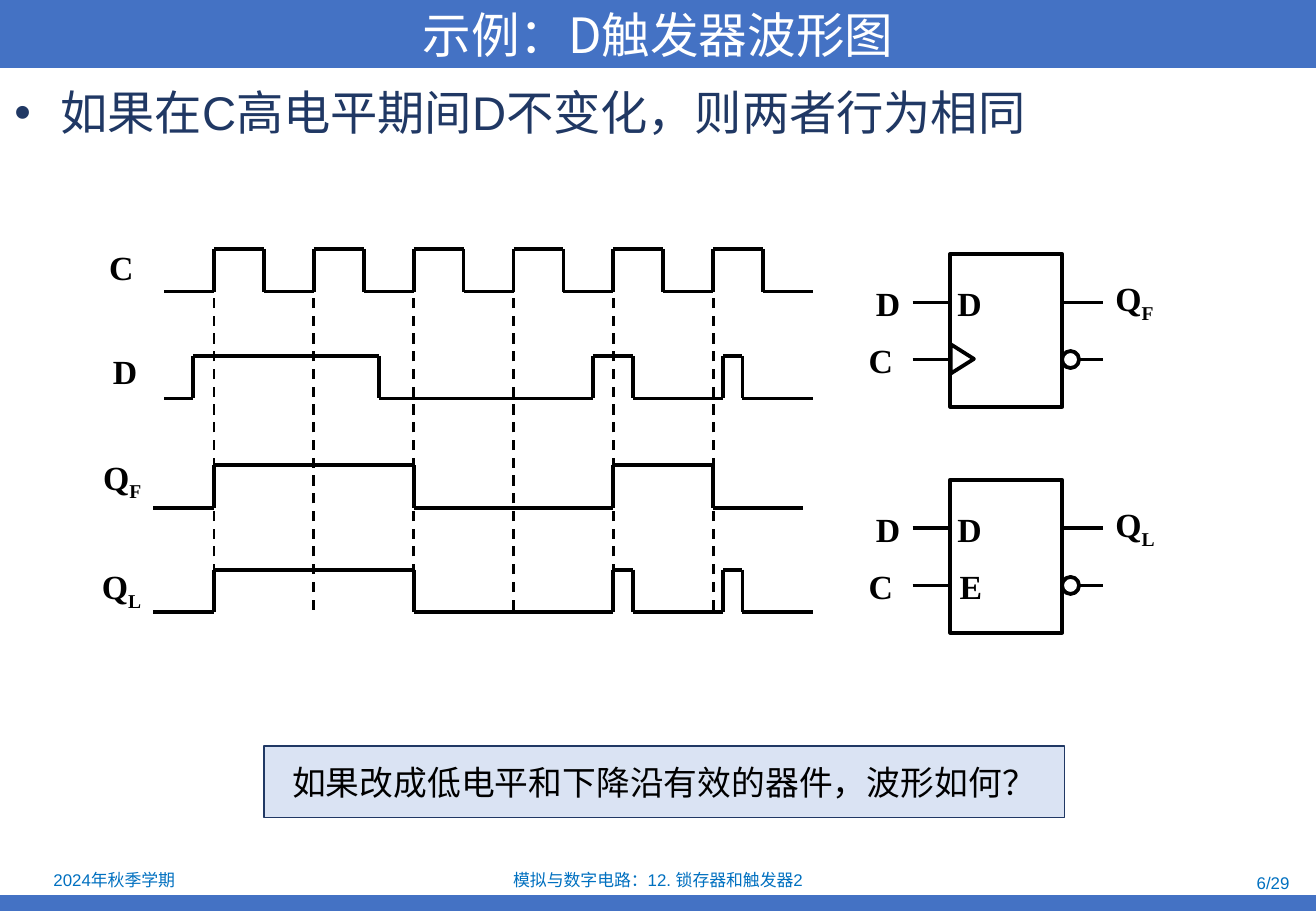
from lxml import etree
from pptx import Presentation
from pptx.dml.color import RGBColor
from pptx.enum import dml, shapes, text
from pptx.oxml import ns
from pptx.util import Inches, Pt

BLUE = RGBColor(0x44, 0x72, 0xC4)
FOOTER_BLUE = RGBColor(0x00, 0x70, 0xC0)
NAVY = RGBColor(0x20, 0x38, 0x64)
PALE_BLUE = RGBColor(0xDA, 0xE3, 0xF3)
WHITE = RGBColor(0xFF, 0xFF, 0xFF)
BLACK = RGBColor(0, 0, 0)

CJK_FONT = "Noto Sans CJK SC"
LABEL_FONT = "Times New Roman"
LEFT, CENTER, RIGHT = text.PP_ALIGN.LEFT, text.PP_ALIGN.CENTER, text.PP_ALIGN.RIGHT

FIRST_EDGE, PERIOD = 1.76, 0.822
CLOCK_EDGES = [FIRST_EDGE + PERIOD * i / 2 for i in range(12)]
RISING = CLOCK_EDGES[::2]
SWING = 0.35

# name, subscript, label left, label top, low level, start, end, edges
WAVES = [
    ("C", "", 0.8, 1.98, 2.4, 1.35, 6.69, CLOCK_EDGES),
    ("D", "", 0.83, 2.84, 3.28, 1.35, 6.69, [1.59, 3.12, 4.88, 5.21, 5.95, 6.11]),
    ("Q", "F", 0.75, 3.71, 4.18, 1.26, 6.61,
     [RISING[0], RISING[2], RISING[4], RISING[5]]),
    ("Q", "L", 0.74, 4.61, 5.04, 1.26, 6.69,
     [RISING[0], RISING[2], RISING[4], 5.21, 5.95, 6.11]),
]


def write(shape, content, size, color, font="Arial", align=LEFT, wrap=True,
          anchor=text.MSO_ANCHOR.MIDDLE):
    frame = shape.text_frame
    frame.word_wrap = wrap
    frame.vertical_anchor = anchor
    paragraph = frame.paragraphs[0]
    paragraph.alignment = align
    run = paragraph.add_run()
    run.text = content
    paragraph.font.size = Pt(size)
    paragraph.font.name = font
    paragraph.font.color.rgb = color
    east_asian = etree.SubElement(run._r.get_or_add_rPr(), ns.qn("a:ea"))
    east_asian.set("typeface", CJK_FONT)
    return paragraph


def add_text(slide, box, *args, **options):
    return write(slide.shapes.add_textbox(*map(Inches, box)), *args, **options)


def add_block(slide, box, fill=None, line=None, width=2.25,
              kind=shapes.MSO_SHAPE.RECTANGLE):
    block = slide.shapes.add_shape(kind, *map(Inches, box))
    block.shadow.inherit = False
    if fill is None:
        block.fill.background()
    else:
        block.fill.solid()
        block.fill.fore_color.rgb = fill
    if line is None:
        block.line.fill.background()
    else:
        block.line.color.rgb = line
        block.line.width = Pt(width)
    return block


def add_line(slide, x1, y1, x2, y2, width=2.25, dashed=False):
    line = slide.shapes.add_connector(
        shapes.MSO_CONNECTOR.STRAIGHT, *map(Inches, (x1, y1, x2, y2)))
    line.line.color.rgb = BLACK
    line.line.width = Pt(width)
    if dashed:
        line.line.dash_style = dml.MSO_LINE.DASH
    etree.SubElement(line._element.spPr, ns.qn("a:effectLst"))


def add_label(slide, left, top, name, subscript=""):
    label = add_text(slide, (left, top, 0.54 if subscript else 0.4, 0.43), name, 20,
                     BLACK, LABEL_FONT, wrap=False, anchor=text.MSO_ANCHOR.TOP)
    label.font.bold = True
    if subscript:
        run = label.add_run()
        run.text = subscript
        run._r.get_or_add_rPr().set("baseline", "-25000")


def add_wave(slide, low, start, end, edges):
    x, y = start, low
    for edge in edges:
        next_y = low - SWING if y == low else low
        add_line(slide, x, y, edge, y)
        add_line(slide, edge, y, edge, next_y)
        x, y = edge, next_y
    add_line(slide, x, y, end, y)


def add_device(slide, top, subscript, clocked):
    left, right = 7.82, 8.74
    data, control = top + 0.4, top + 0.87
    for pin in (data, control):
        add_line(slide, 7.51, pin, left, pin)
        add_line(slide, right, pin, 9.08, pin)
    add_block(slide, (left, top, right - left, 1.26), line=BLACK)
    add_block(slide, (right, control - 0.07, 0.14, 0.14), WHITE, BLACK,
              kind=shapes.MSO_SHAPE.OVAL)
    if clocked:
        wedge = add_block(slide, (7.8, control - 0.1, 0.24, 0.19), line=BLACK,
                          kind=shapes.MSO_SHAPE.FLOWCHART_EXTRACT)
        wedge.rotation = 90
    else:
        add_label(slide, 7.8, top + 0.66, "E")
    add_label(slide, 7.78, top + 0.19, "D")
    add_label(slide, 7.11, top + 0.19, "D")
    add_label(slide, 7.05, top + 0.66, "C")
    add_label(slide, 9.08, top + 0.15, "Q", subscript)


def add_bullet_line(slide):
    paragraph = add_text(slide, (0.02, 0.64, 10.81, 0.7),
                         "如果在C高电平期间D不变化，则两者行为相同", 28, NAVY,
                         anchor=text.MSO_ANCHOR.TOP)
    properties = paragraph._p.get_or_add_pPr()
    properties.set("marL", str(Inches(0.38)))
    properties.set("indent", str(Inches(-0.38)))
    bullet_font = etree.Element(ns.qn("a:buFont"), typeface="Arial")
    bullet = etree.Element(ns.qn("a:buChar"), char="•")
    properties.insert(0, bullet_font)
    properties.insert(1, bullet)


def main():
    deck = Presentation()
    deck.slide_width, deck.slide_height = Inches(10.83), Inches(7.5)
    slide = deck.slides.add_slide(deck.slide_layouts[6])

    # Title, bottom band and footer
    add_block(slide, (0, 7.37, 10.83, 0.13), BLUE)
    title = add_block(slide, (0, 0, 10.83, 0.56), BLUE)
    write(title, "示例：D触发器波形图", 28.8, WHITE, CJK_FONT, CENTER)
    for box, content, align in [
        ((0.02, 7.13, 1.84, 0.23), "2024年秋季学期", CENTER),
        ((3.7, 7.14, 3.43, 0.21), "模拟与数字电路：12. 锁存器和触发器2", CENTER),
        ((8.18, 7.16, 2.53, 0.21), "6/29", RIGHT),
    ]:
        add_text(slide, box, content, 10, FOOTER_BLUE, align=align)

    add_bullet_line(slide)

    # Timing diagram
    for x in RISING:
        add_line(slide, x, 5.02, x, 2.1, width=1.5, dashed=True)
    for name, subscript, left, top, low, start, end, edges in WAVES:
        add_wave(slide, low, start, end, edges)
        add_label(slide, left, top, name, subscript)

    # Flip-flop and latch symbols
    add_device(slide, 2.09, "F", clocked=True)
    add_device(slide, 3.95, "L", clocked=False)

    # Question
    question = add_block(slide, (2.17, 6.14, 6.59, 0.59), PALE_BLUE, NAVY, 1)
    write(question, "如果改成低电平和下降沿有效的器件，波形如何？", 20, BLACK,
          CJK_FONT, CENTER, wrap=False)

    deck.save("out.pptx")


if __name__ == "__main__":
    main()
